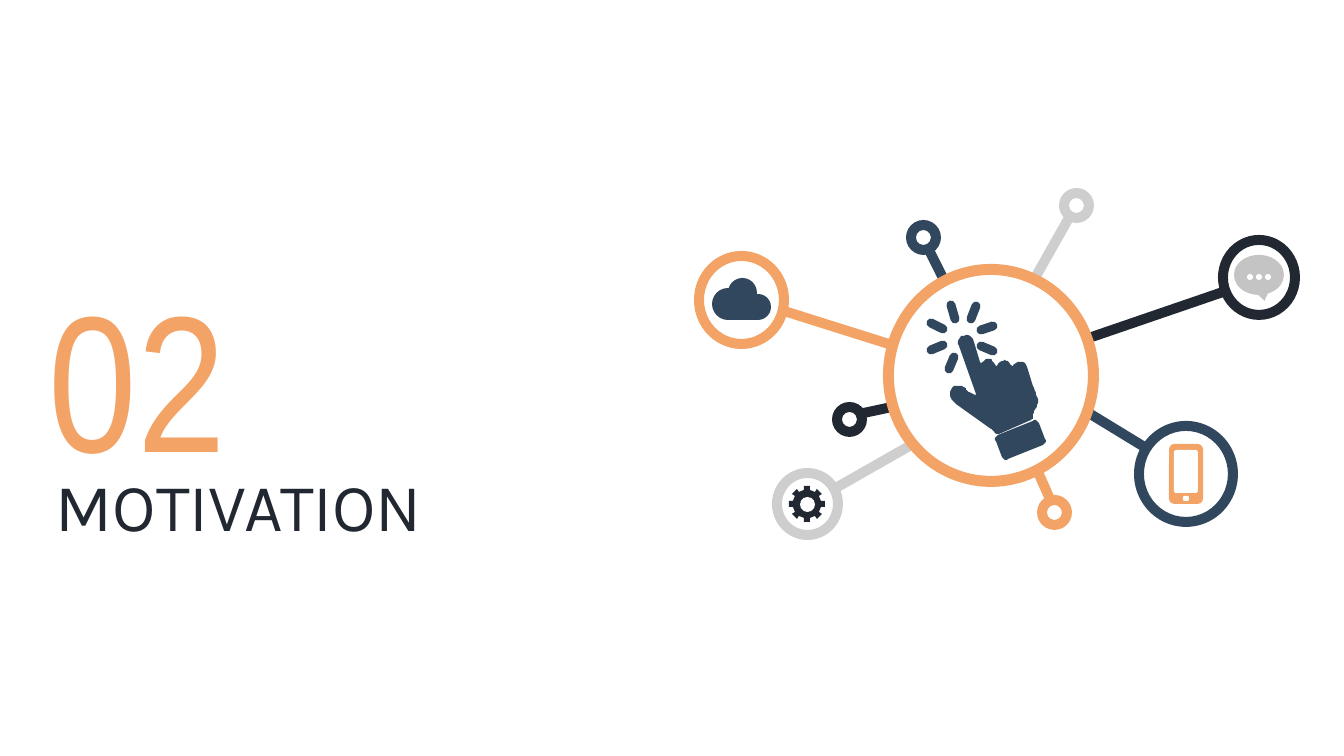
from math import cos, hypot, pi, sin

from lxml.etree import SubElement
from pptx import Presentation
from pptx.dml.color import RGBColor
from pptx.enum.shapes import MSO_CONNECTOR as Link, MSO_SHAPE as Kind
from pptx.enum.text import MSO_ANCHOR as Anchor
from pptx.oxml.ns import qn
from pptx.util import Pt

PX = 914400 / 134.4
NAVY = RGBColor(0x30, 0x47, 0x5E)
DARK = RGBColor(0x22, 0x28, 0x31)
ORANGE = RGBColor(0xF2, 0xA3, 0x65)
SILVER = RGBColor(0xCE, 0xCE, 0xCE)
GREY = RGBColor(0xC4, 0xC4, 0xC4)
WHITE = RGBColor(0xFF, 0xFF, 0xFF)

# Texts: words, box, anchor, line spacing, font
TEXTS = [
    ("MOTIVATION", (43, 374, 621, 184), Anchor.BOTTOM, 1.0,
     {"name": "Karla", "size": Pt(36)}, DARK),
    ("02", (36, 210, 251, 202), Anchor.TOP, 1.15,
     {"name": "Arial Narrow", "size": Pt(104)}, ORANGE),
]

# Network: ring box, spoke ends, colour
NODES = [
    ((1134, 421, 104, 106), (1087, 412, 1146, 448), NAVY),
    ((1218, 235, 82, 85), (1086, 339, 1223, 292), DARK),
    ((694, 251, 95, 98), (784, 311, 892, 345), ORANGE),
    ((772, 468, 71, 72), (913, 444, 834, 489), SILVER),
    ((832, 402, 35, 35), (892, 407, 859, 414), DARK),
    ((1037, 495, 35, 35), (1037, 470, 1050, 499), ORANGE),
    ((906, 220, 35, 35), (929, 250, 944, 280), NAVY),
    ((1059, 188, 35, 35), (1070, 216, 1035, 278), SILVER),
]
HUB = (883, 264, 216, 223)

# Click icon: ray ends, then corners as x, y, radius
RAYS = [
    (951, 305, 955, 319), (931, 323, 943, 329), (981, 346, 993, 351),
    (943, 345, 931, 350), (993, 326, 981, 330), (954, 357, 949, 369),
    (976, 306, 971, 319),
]
HAND = [
    (956, 338, 9), (971, 333, 9), (981, 364, 2), (985, 359, 4), (992, 359, 5),
    (996, 367, 1), (1000, 361, 4), (1008, 360, 5), (1012, 367, 1),
    (1016, 362, 4), (1025, 361, 9), (1035, 391, 8), (1039, 403, 8),
    (1033, 414, 3), (1033, 419, 2), (996, 435, 3), (993, 430, 2),
    (949, 399, 8), (952, 385, 8), (964, 386, 6), (967, 391, 2), (976, 395, 1),
]
CUFF = [(994, 437, 4), (1037, 419, 4), (1047, 443, 4), (1004, 461, 4)]

# Icon parts: kind, box, colour, adjustments
PARTS = [
    # Cloud
    (Kind.OVAL, (712, 288, 32, 32), NAVY, ()),
    (Kind.OVAL, (745, 294, 26, 26), NAVY, ()),
    (Kind.OVAL, (728, 278, 29, 29), NAVY, ()),
    (Kind.RECTANGLE, (728, 298, 30, 22), NAVY, ()),
    # Phone
    (Kind.ROUNDED_RECTANGLE, (1169, 444, 34, 60), ORANGE, (0.16,)),
    (Kind.ROUNDED_RECTANGLE, (1174, 450, 24, 43), WHITE, (0.1,)),
    (Kind.ROUNDED_RECTANGLE, (1183, 496, 6, 5), WHITE, (0.3,)),
    # Chat bubble
    (Kind.OVAL_CALLOUT, (1234, 255, 50, 40), GREY, (0.11, 0.65)),
] + [(Kind.OVAL, (x, 274, 6, 6), WHITE, ()) for x in (1247, 1256, 1265)]

GEAR = (807, 504)
TEETH = 8


def px(*nums):
    return [round(n * PX) for n in nums]


def paint(shape, tint):
    shape.shadow.inherit = False
    shape.fill.solid()
    shape.fill.fore_color.rgb = tint
    shape.line.fill.background()


def draw(kind, box, tint, adjust=()):
    shape = slide.shapes.add_shape(kind, *px(*box))
    paint(shape, tint)
    for i, val in enumerate(adjust):
        shape.adjustments[i] = val


def ring(box, thick, tint):
    draw(Kind.DONUT, box, tint, (thick / min(box[2:]),))


def line(ends, width, tint, cap="flat"):
    link = slide.shapes.add_connector(Link.STRAIGHT, *px(*ends))
    link.line.color.rgb = tint
    link.line.width = px(width)[0]
    props = link._element.spPr
    props.get_or_add_ln().set("cap", cap)
    SubElement(props, qn("a:effectLst"))


def trace(dots, tint):
    pen = slide.shapes.build_freeform(*dots[0], scale=PX)
    pen.add_line_segments(dots[1:], close=True)
    paint(pen.convert_to_shape(), tint)


def soften(nodes, steps=6):
    """Turn each corner into a short curve."""
    dots = []
    for i, (x, y, r) in enumerate(nodes):
        ends = []
        for u, v, _ in (nodes[i - 1], nodes[(i + 1) % len(nodes)]):
            far = hypot(u - x, v - y)
            part = min(r / far, 0.5)
            ends.append((x + (u - x) * part, y + (v - y) * part))
        (ax, ay), (bx, by) = ends
        for k in range(steps + 1):
            t = k / steps
            p, q, s = (1 - t) ** 2, 2 * t * (1 - t), t * t
            dots.append((p * ax + q * x + s * bx, p * ay + q * y + s * by))
    return dots


deck = Presentation()
deck.slide_width, deck.slide_height = px(1344, 756)
slide = deck.slides.add_slide(deck.slide_layouts[6])

# Rings and spokes
for box, ends, tint in NODES:
    ring(box, 10, tint)
    line(ends, 10, tint)
ring(HUB, 11, ORANGE)

# Pointing hand
trace(soften(HAND), NAVY)
trace(soften(CUFF), NAVY)
for ends in RAYS:
    line(ends, 9, NAVY, "rnd")

# Gear: each tooth has two root and two tip corners
cx, cy = GEAR
teeth = []
for i in range(TEETH):
    for turn, r in ((-0.27, 14), (-0.24, 18), (0.24, 18), (0.27, 14)):
        angle = (i + turn) * 2 * pi / TEETH
        teeth.append((cx + r * cos(angle), cy + r * sin(angle)))
trace(teeth, DARK)
draw(Kind.OVAL, (cx - 7, cy - 7, 15, 15), WHITE)

# Other icons
for part in PARTS:
    draw(*part)

# Texts
for words, box, anchor, space, style, tint in TEXTS:
    frame = slide.shapes.add_textbox(*px(*box)).text_frame
    pad = px(13)[0]
    look = {"word_wrap": True, "vertical_anchor": anchor, "margin_left": pad,
            "margin_right": pad, "margin_top": pad, "margin_bottom": pad}
    para = frame.paragraphs[0]
    para.line_spacing = space
    run = para.add_run()
    run.text = words
    for item, form in ((frame, look), (run.font, style)):
        for key, val in form.items():
            setattr(item, key, val)
    run.font.color.rgb = tint

deck.save("out.pptx")
